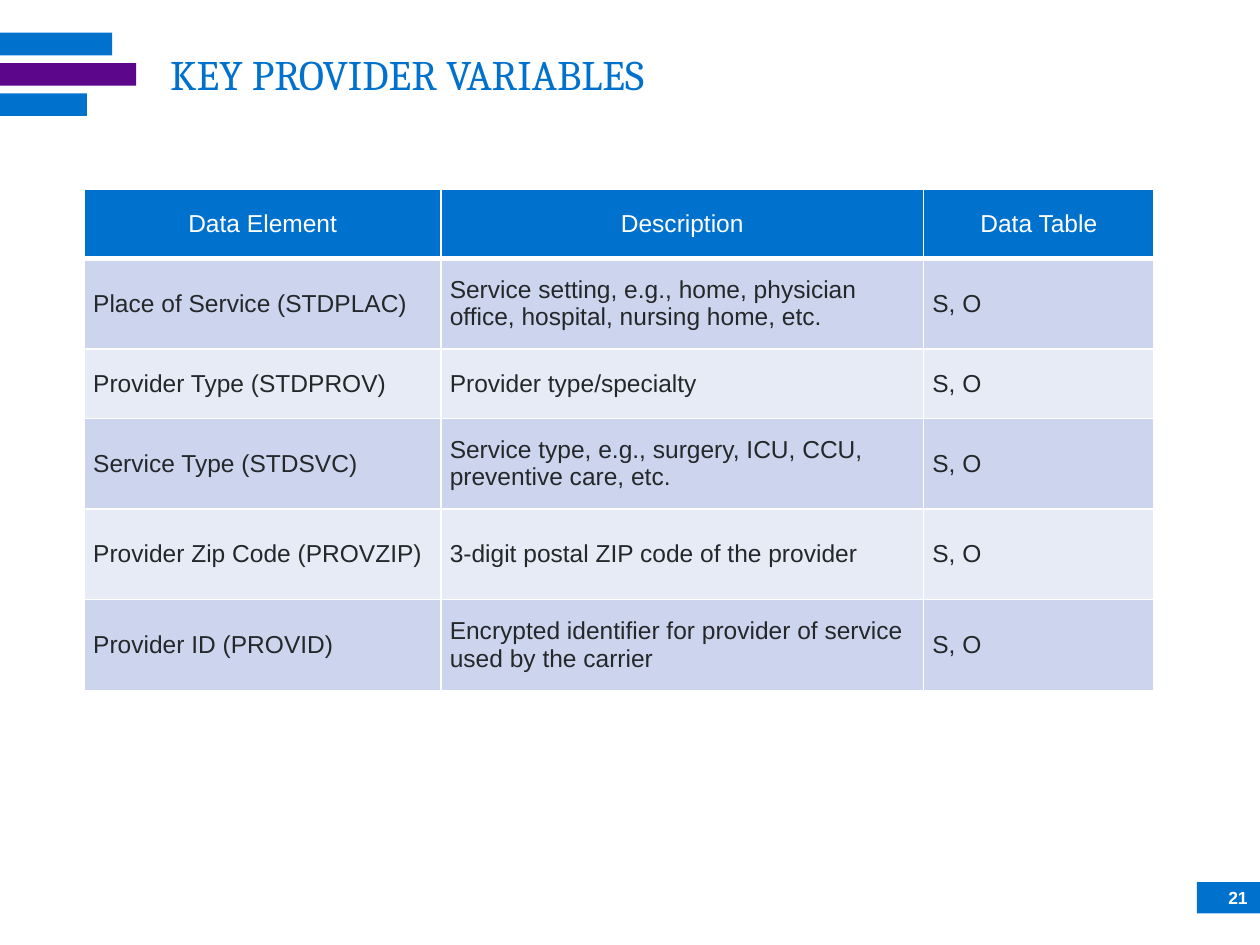
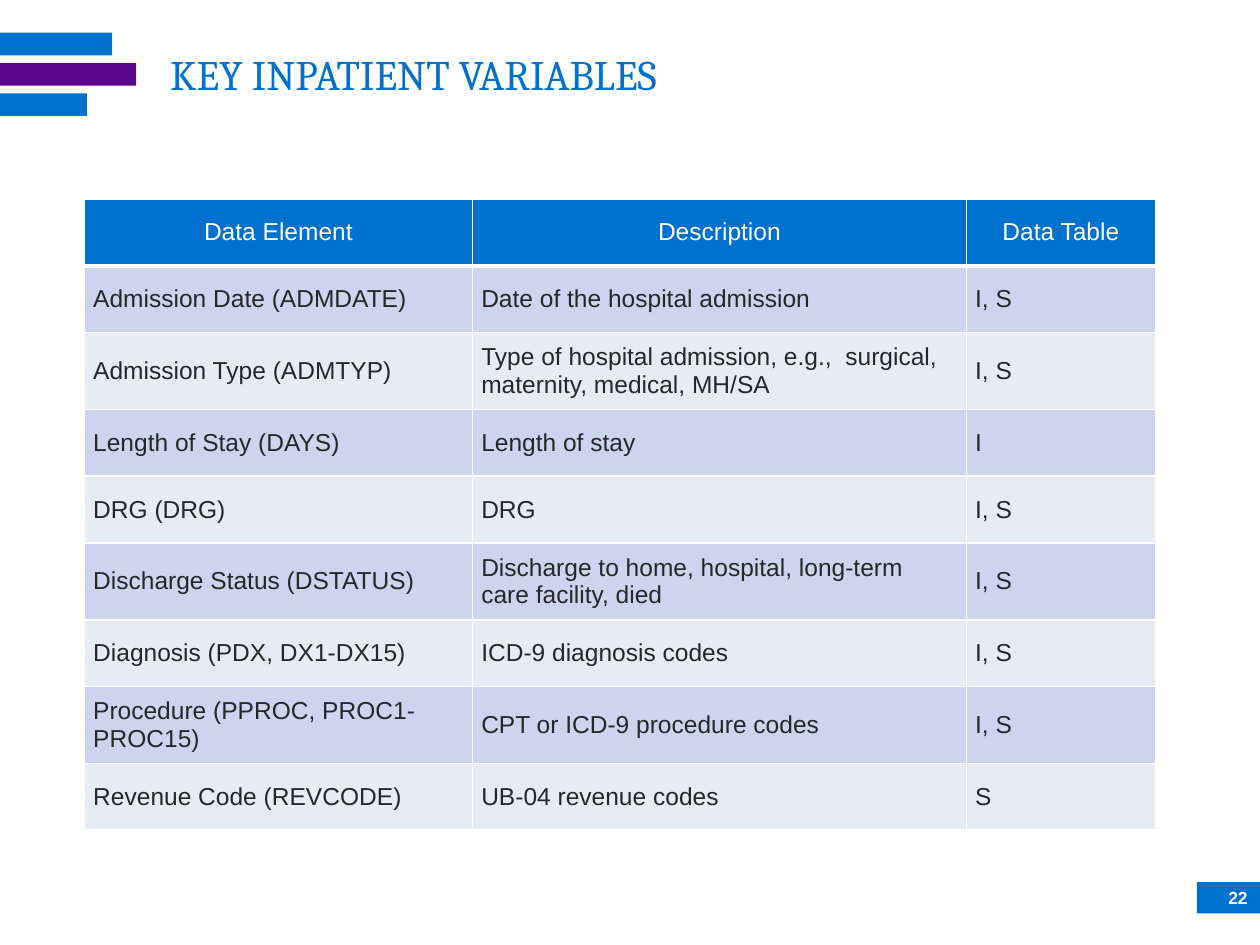
from lxml.etree import SubElement
from pptx import Presentation
from pptx.dml.color import RGBColor
from pptx.enum.shapes import MSO_SHAPE
from pptx.enum.text import MSO_ANCHOR, PP_ALIGN
from pptx.oxml.ns import qn
from pptx.util import Inches, Pt

BLUE = RGBColor(0x00, 0x72, 0xCE)
PURPLE = RGBColor(0x5C, 0x06, 0x8C)
INK = RGBColor(0x25, 0x28, 0x2A)
WHITE = RGBColor(0xFF, 0xFF, 0xFF)
BANDS = (RGBColor(0xCC, 0xD5, 0xED), RGBColor(0xE7, 0xEB, 0xF6))

TITLE_FONT = {"name": "Cambria", "size": Pt(24), "bold": False}
CELL_FONT = {"name": "Arial", "size": Pt(14), "bold": False}
NUMBER_FONT = {"name": "Arial", "size": Pt(10), "bold": True}
HEADER_PARA = {"alignment": PP_ALIGN.CENTER, "space_before": Pt(4), "space_after": Pt(4)}
BODY_PARA = {"alignment": PP_ALIGN.LEFT, "space_before": Pt(3), "space_after": Pt(2)}
CELL_BOX = {"vertical_anchor": MSO_ANCHOR.MIDDLE,
            "margin_left": Inches(0.07), "margin_right": Inches(0.07),
            "margin_top": 0, "margin_bottom": 0}

CORNER_BARS = ((0.89, BLUE), (1.08, PURPLE), (0.69, BLUE))
HEADER = ("Data Element", "Description", "Data Table")

PROVIDER_ROWS = (
    ("Place of Service (STDPLAC)",
     "Service setting, e.g., home, physician office, hospital, nursing home, etc.", "S, O"),
    ("Provider Type (STDPROV)", "Provider type/specialty", "S, O"),
    ("Service Type (STDSVC)",
     "Service type, e.g., surgery, ICU, CCU, preventive care, etc.", "S, O"),
    ("Provider Zip Code (PROVZIP)", "3-digit postal ZIP code of the provider", "S, O"),
    ("Provider ID (PROVID)",
     "Encrypted identifier for provider of service used by the carrier", "S, O"),
)
INPATIENT_ROWS = (
    ("Admission Date (ADMDATE)", "Date of the hospital admission", "I, S"),
    ("Admission Type (ADMTYP)",
     "Type of hospital admission, e.g.,  surgical, maternity, medical, MH/SA", "I, S"),
    ("Length of Stay (DAYS)", "Length of stay", "I"),
    ("DRG (DRG)", "DRG", "I, S"),
    ("Discharge Status (DSTATUS)",
     "Discharge to home, hospital, long-term care facility, died", "I, S"),
    ("Diagnosis (PDX, DX1-DX15)", "ICD-9 diagnosis codes", "I, S"),
    ("Procedure (PPROC, PROC1-PROC15)", "CPT or ICD-9 procedure codes", "I, S"),
    ("Revenue Code (REVCODE)", "UB-04 revenue codes", "S"),
)


def apply(target, values):
    for name, value in values.items():
        setattr(target, name, value)


def write(p, text, font, color):
    r = p.add_run()
    r.text = text
    apply(r.font, font)
    r.font.color.rgb = color


class Deck:
    """Holds the presentation, its style and the current slide."""

    def __init__(self):
        self.prs = Presentation()
        self.prs.slide_width, self.prs.slide_height = Inches(10), Inches(7.5)
        self.s = None

    def slide(self, title, number):
        self.s = self.prs.slides.add_slide(self.prs.slide_layouts[5])
        for i, (width, color) in enumerate(CORNER_BARS):
            self.bar(0, 0.26 + 0.24 * i, width, 0.18, color)
        self.bar(9.5, 7, 0.5, 0.25, BLUE)
        self.title(title)
        self.page_number(number)

    def bar(self, left, top, width, height, color):
        sp = self.s.shapes.add_shape(MSO_SHAPE.RECTANGLE, Inches(left), Inches(top),
                                     Inches(width), Inches(height))
        sp.shadow.inherit = False
        sp.fill.solid()
        sp.fill.fore_color.rgb = color
        sp.line.fill.background()

    def title(self, text):
        sp = self.s.shapes.title
        apply(sp, {"left": Inches(1.25), "top": Inches(0.17),
                   "width": Inches(8.25), "height": Inches(0.83)})
        tf = sp.text_frame
        tf.vertical_anchor = MSO_ANCHOR.MIDDLE
        p = tf.paragraphs[0]
        p.alignment = PP_ALIGN.LEFT
        write(p, text, TITLE_FONT, BLUE)

    def page_number(self, number):
        sp = self.s.shapes.add_textbox(Inches(9.42), Inches(7), Inches(0.58), Inches(0.25))
        tf = sp.text_frame
        apply(tf, {"word_wrap": True, "vertical_anchor": MSO_ANCHOR.MIDDLE})
        p = tf.paragraphs[0]
        p.alignment = PP_ALIGN.RIGHT
        write(p, str(number), NUMBER_FONT, WHITE)

    def table(self, top, col_widths, row_heights, rows):
        rows = (HEADER, *rows)
        frame = self.s.shapes.add_table(len(rows), len(HEADER), Inches(0.67), Inches(top),
                                        Inches(sum(col_widths)), Inches(sum(row_heights)))
        table = frame.table
        for column, width in zip(table.columns, col_widths):
            column.width = Inches(width)
        for i, (row, height, texts) in enumerate(zip(table.rows, row_heights, rows)):
            row.height = Inches(height)
            for cell, text in zip(row.cells, texts):
                self.cell(cell, text, i)

    def cell(self, cell, text, row):
        is_header = row == 0
        apply(cell, CELL_BOX)
        # The rule under the header is shared by the first body row's top edge.
        self.borders(cell, top=3 if row == 1 else 1, bottom=3 if is_header else 1)
        cell.fill.solid()
        cell.fill.fore_color.rgb = BLUE if is_header else BANDS[(row - 1) % 2]
        p = cell.text_frame.paragraphs[0]
        apply(p, HEADER_PARA if is_header else BODY_PARA)
        write(p, text, CELL_FONT, WHITE if is_header else INK)

    def borders(self, cell, top, bottom):
        """Add white cell edges; call before the fill, which must follow them in the XML."""
        tc_pr = cell._tc.get_or_add_tcPr()
        for side, points in (("L", 1), ("R", 1), ("T", top), ("B", bottom)):
            ln = SubElement(tc_pr, qn(f"a:ln{side}"), w=str(Pt(points)))
            fill = SubElement(ln, qn("a:solidFill"))
            SubElement(fill, qn("a:srgbClr"), val=str(WHITE))


def main():
    deck = Deck()
    deck.slide("KEY PROVIDER VARIABLES", 21)
    deck.table(1.5, (2.83, 3.83, 1.83), (0.55, 0.72, 0.55, 0.72, 0.72, 0.72), PROVIDER_ROWS)

    deck.slide("KEY INPATIENT VARIABLES", 22)
    two_line_rows = (2, 5, 7)
    heights = [0.61 if i in two_line_rows else 0.53 for i in range(len(INPATIENT_ROWS) + 1)]
    deck.table(1.58, (3.08, 3.92, 1.5), heights, INPATIENT_ROWS)
    deck.prs.save("out.pptx")


if __name__ == "__main__":
    main()
